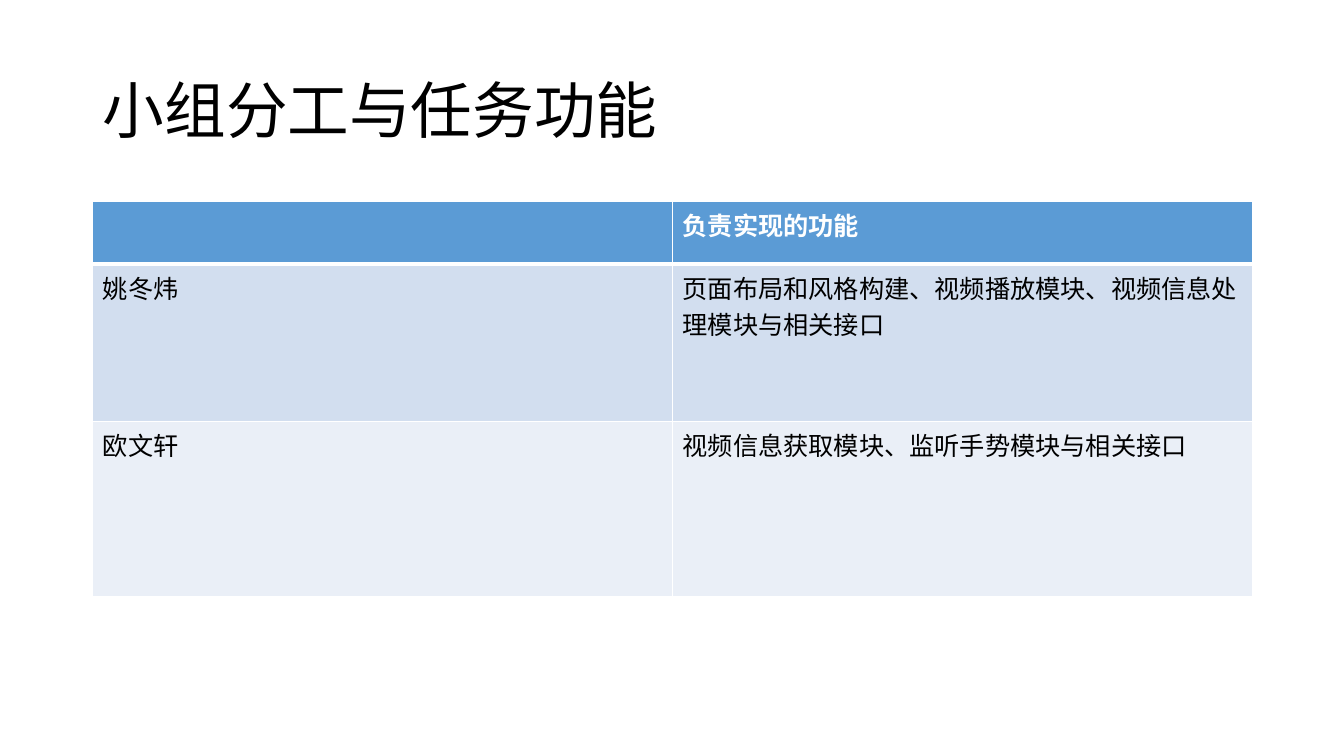
from lxml import etree
from pptx import Presentation
from pptx.dml.color import RGBColor
from pptx.enum.text import MSO_ANCHOR, MSO_AUTO_SIZE, PP_ALIGN
from pptx.oxml.ns import qn
from pptx.util import Inches, Pt

LEFT, MIDDLE, NO_FIT = PP_ALIGN.LEFT, MSO_ANCHOR.MIDDLE, MSO_AUTO_SIZE.NONE
FONT = "Noto Sans CJK SC"
TITLE_ONLY = 5
MARGIN, CONTENT_WIDTH = 0.92, 11.5
ROW_HEIGHTS = (0.62, 1.56, 1.74)
ROW_FILLS = ("5B9BD5", "D2DEEF", "EAEFF7")
ASSIGNMENTS = (
    ("", "负责实现的功能"),
    ("姚冬炜", "页面布局和风格构建、视频播放模块、视频信息处理模块与相关接口"),
    ("欧文轩", "视频信息获取模块、监听手势模块与相关接口"),
)


def color(hex_code):
    """Turn a hex string into a colour."""
    return RGBColor.from_string(hex_code)


def format_paragraph(paragraph, size, hex_code, bold=False):
    """Set the font of a paragraph for Latin and East Asian text."""
    paragraph.alignment = LEFT
    font = paragraph.font
    font.name, font.size, font.bold = FONT, Pt(size), bold
    font.color.rgb = color(hex_code)
    properties = paragraph._p.get_or_add_pPr().find(qn("a:defRPr"))
    latin = properties.find(qn("a:latin"))
    east_asian = etree.Element(qn("a:ea"), typeface=FONT)
    latin.addnext(east_asian)


def add_title(slide, text):
    """Fill and place the title placeholder."""
    title = slide.shapes.title
    title.left, title.top = Inches(MARGIN), Inches(0.4)
    title.width, title.height = Inches(CONTENT_WIDTH), Inches(1.45)
    frame = title.text_frame
    frame.text = text
    frame.vertical_anchor, frame.auto_size = MIDDLE, NO_FIT
    heading = frame.paragraphs[0]
    heading.line_spacing = 0.9
    format_paragraph(heading, 44, "000000")


def add_borders(cell, top, bottom):
    """Draw white cell borders with the given top and bottom widths."""
    properties = cell._tc.get_or_add_tcPr()
    for side, width in (("L", 1), ("R", 1), ("T", top), ("B", bottom)):
        line = etree.SubElement(properties, qn(f"a:ln{side}"), w=str(Pt(width)))
        fill = etree.SubElement(line, qn("a:solidFill"))
        etree.SubElement(fill, qn("a:srgbClr"), val="FFFFFF")


def add_assignment_table(slide):
    """Add the table of members and their functions."""
    columns = len(ASSIGNMENTS[0])
    table = slide.shapes.add_table(
        len(ASSIGNMENTS), columns, Inches(MARGIN), Inches(2),
        Inches(CONTENT_WIDTH), Inches(sum(ROW_HEIGHTS))).table
    for row_index, texts in enumerate(ASSIGNMENTS):
        table.rows[row_index].height = Inches(ROW_HEIGHTS[row_index])
        is_header = row_index == 0
        for column_index, text in enumerate(texts):
            cell = table.cell(row_index, column_index)
            cell.text = text
            format_paragraph(cell.text_frame.paragraphs[0], 18,
                             "FFFFFF" if is_header else "000000", is_header)
            add_borders(cell, 3 if row_index == 1 else 1, 3 if is_header else 1)
            cell.fill.solid()
            cell.fill.fore_color.rgb = color(ROW_FILLS[row_index])


def main():
    """Build and save the slide."""
    deck = Presentation()
    deck.slide_width, deck.slide_height = Inches(13.33), Inches(7.5)
    slide = deck.slides.add_slide(deck.slide_layouts[TITLE_ONLY])
    add_title(slide, "小组分工与任务功能")
    add_assignment_table(slide)
    deck.save("out.pptx")


main()
